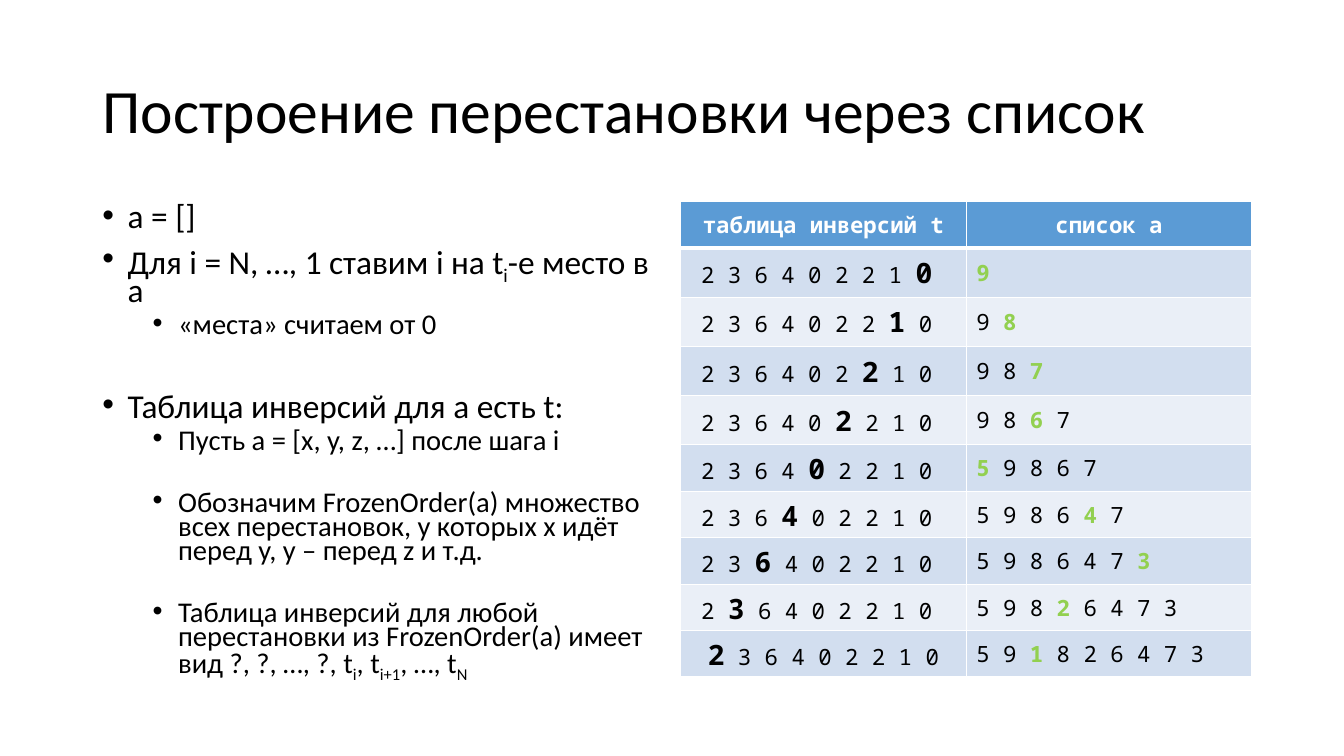
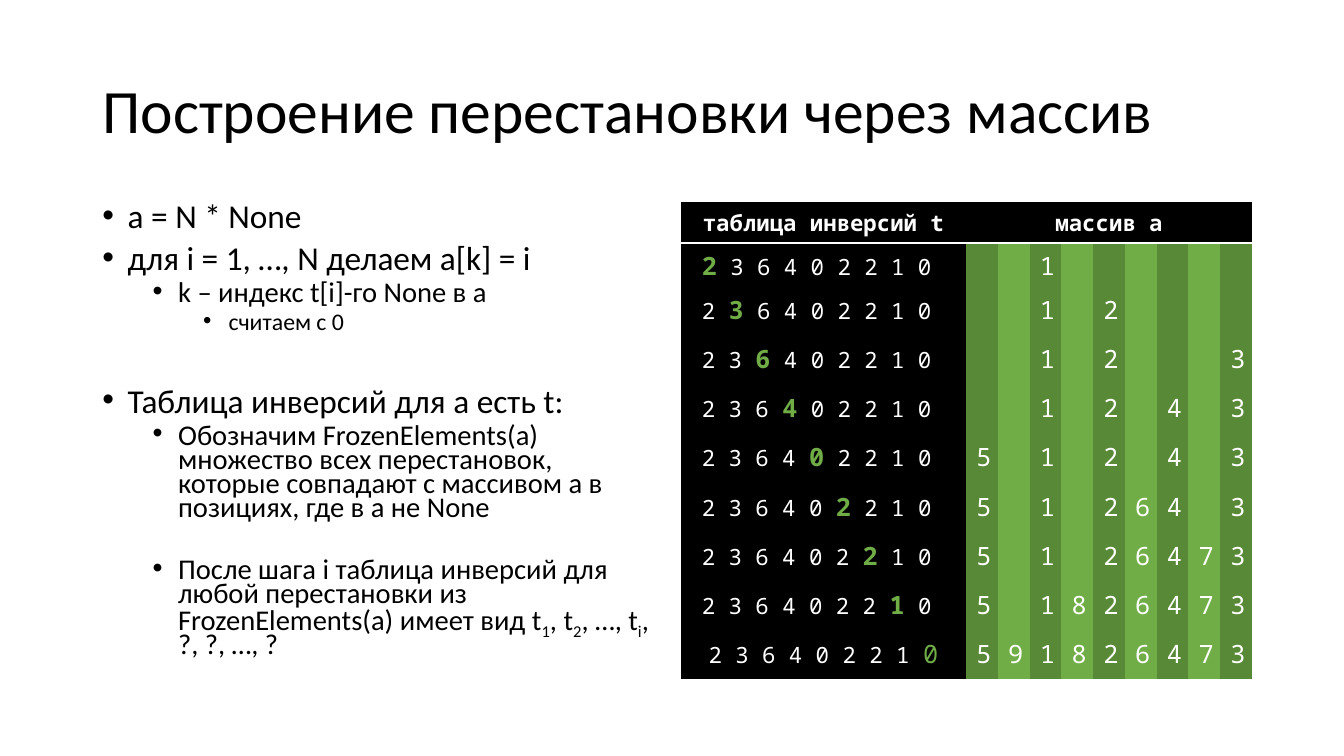
from lxml import etree
from pptx import Presentation
from pptx.dml.color import RGBColor
from pptx.enum.text import MSO_ANCHOR, PP_ALIGN
from pptx.oxml.ns import qn
from pptx.util import Cm, Pt

MIDDLE, LEFT, CENTER = MSO_ANCHOR.MIDDLE, PP_ALIGN.LEFT, PP_ALIGN.CENTER
BLACK = RGBColor(0x00, 0x00, 0x00)
WHITE = RGBColor(0xFF, 0xFF, 0xFF)
BLUE = RGBColor(0x5B, 0x9B, 0xD5)
BAND_DARK = RGBColor(0xD2, 0xDE, 0xEF)
BAND_LIGHT = RGBColor(0xEA, 0xEF, 0xF7)
LIME = RGBColor(0x92, 0xD0, 0x50)
GREEN = RGBColor(0x70, 0xAD, 0x47)
DARK_GREEN = RGBColor(0x58, 0x89, 0x37)
NO_GRID_STYLE = "{2D5ABB26-0587-4C30-8999-92F81FD0307C}"

# Content: (level, text, extra points before); |x| marks a subscript
INVERSIONS = [2, 3, 6, 4, 0, 2, 2, 1, 0]
COUNT = len(INVERSIONS)
LIST_TITLE = "Построение перестановки через список"
LIST_NOTES = [
    (0, "a = []", 0),
    (0, "Для i = N, …, 1 ставим i на t|i|-е место в a", 0),
    (1, "«места» считаем от 0", 0),
    (0, "Таблица инверсий для a есть t:", 30.3),
    (1, "Пусть a = [x, y, z, …] после шага i", 0),
    (1, "Обозначим FrozenOrder(a) множество всех перестановок, "
        "у которых x идёт перед y, y – перед z и т.д.", 22.4),
    (1, "Таблица инверсий для любой перестановки из FrozenOrder(a) "
        "имеет вид ?, ?, …, ?, t|i|, t|i+1|, …, t|N|", 22.4),
]
ARRAY_TITLE = "Построение перестановки через массив"
ARRAY_NOTES = [
    (0, "a = N * None", 0),
    (0, "для i = 1, …, N делаем a[k] = i", 0),
    (1, "k – индекс t[i]-го None в а", 0),
    (2, "считаем с 0", 0),
    (0, "Таблица инверсий для a есть t:", 30.3),
    (1, "Обозначим FrozenElements(a) множество всех перестановок, "
        "которые совпадают с массивом а в позициях, где в a не None", 0),
    (1, "После шага i таблица инверсий для любой перестановки из "
        "FrozenElements(a) имеет вид t|1|, t|2|, …, t|i|, ?, ?, …, ?", 22.4),
]
HEADER_T, HEADER_LIST, HEADER_ARRAY = "таблица инверсий t", "список а", "массив а"

# Layout
SIDE, TABLE_LEFT, BODY_TOP = Cm(2.33), Cm(17.15), Cm(5.08)
COLUMN_WIDTH, BODY_HEIGHT = Cm(14.4), Cm(12.09)
TITLE_AREA = (SIDE, Cm(1.01), Cm(29.21), Cm(3.68))
NOTES_AREA = (SIDE, BODY_TOP, COLUMN_WIDTH, BODY_HEIGHT)

# Text formats
TITLE = {"name": "Calibri", "size": Pt(44), "color": BLACK}
LEVELS = [  # size, space before, left indent
    (23.8, 10, Cm(0.64)),
    (20.4, 5, Cm(1.91)),
    (17, 5, Cm(3.18)),
]
HANGING = Cm(0.64)


def mono(color, size=16, bold=False):
    return {"name": "Noto Sans Mono", "size": Pt(size), "bold": bold, "color": color}


def write(para, spans):
    for text, look in spans:
        if not text:
            continue
        span = para.add_run()
        span.text = text
        for key, value in look.items():
            if key == "color":
                span.font.color.rgb = value
            elif key == "baseline":
                span.font._element.set("baseline", value)
            else:
                setattr(span.font, key, value)


def add_bullet(para, indent):
    props = para._p.get_or_add_pPr()
    props.set("marL", str(indent))
    props.set("indent", str(-HANGING))
    etree.SubElement(props, qn("a:buFont")).set("typeface", "Arial")
    etree.SubElement(props, qn("a:buChar")).set("char", "•")


def add_page(deck, title, notes):
    page = deck.slides.add_slide(deck.slide_layouts[6])
    frame = page.shapes.add_textbox(*TITLE_AREA).text_frame
    frame.word_wrap, frame.vertical_anchor = True, MIDDLE
    frame.paragraphs[0].line_spacing = 0.9
    write(frame.paragraphs[0], [(title, TITLE)])

    frame = page.shapes.add_textbox(*NOTES_AREA).text_frame
    frame.word_wrap = True
    for number, (level, text, extra) in enumerate(notes):
        para = frame.add_paragraph() if number else frame.paragraphs[0]
        size, before, indent = LEVELS[level]
        add_bullet(para, indent)
        para.line_spacing = 0.7
        para.space_before = Pt(before + extra if number else 0)
        plain = {"name": "Calibri", "size": Pt(size), "color": BLACK}
        lowered = {**plain, "baseline": "-25000"}
        write(para, [(part, lowered if place % 2 else plain)
                     for place, part in enumerate(text.split("|"))])
    return page


def add_borders(cell, widths):
    props = cell._tc.get_or_add_tcPr()
    for side in "LRTB":
        line = etree.SubElement(props, qn("a:ln" + side))
        if side in widths:
            line.set("w", str(Pt(widths[side])))
            fill = etree.SubElement(line, qn("a:solidFill"))
            etree.SubElement(fill, qn("a:srgbClr")).set("val", str(WHITE))
        else:
            etree.SubElement(line, qn("a:noFill"))


def add_grid(page, widths, heights, rows, border_rule):
    """Each cell of rows is (spans, fill, alignment)."""
    table = page.shapes.add_table(len(rows), len(widths), TABLE_LEFT, BODY_TOP,
                                  sum(widths), sum(heights)).table
    table._tbl.tblPr.find(qn("a:tableStyleId")).text = NO_GRID_STYLE
    for column, width in zip(table.columns, widths):
        column.width = width
    for row, height in zip(table.rows, heights):
        row.height = height
    for r, row in enumerate(rows):
        for c, (spans, fill, align) in enumerate(row):
            cell = table.cell(r, c)
            cell.vertical_anchor = MIDDLE
            add_borders(cell, border_rule(r))
            cell.fill.solid()
            cell.fill.fore_color.rgb = fill
            para = cell.text_frame.paragraphs[0]
            para.alignment = align
            write(para, spans)
    return table


def marked(values, place, plain, mark, tail=""):
    """Spaced digits with the one at place set in the mark format."""
    words = [str(value) for value in values]
    before = "".join(word + " " for word in words[:place])
    after = "".join(" " + word for word in words[place + 1:]) + tail
    return [(before, plain), (words[place], mark), (after, plain)]


def header(text, fill):
    return [(text, mono(WHITE, bold=True))], fill, CENTER


def add_list_table(page):
    plain, big, new = mono(BLACK), mono(BLACK, 20, True), mono(LIME, bold=True)
    rows = [[header(HEADER_T, BLUE), header(HEADER_LIST, BLUE)]]
    built = []
    for i in range(COUNT - 1, -1, -1):
        place = INVERSIONS[i]
        built.insert(place, i + 1)
        fill = BAND_DARK if len(rows) % 2 else BAND_LIGHT
        rows.append([
            (marked(INVERSIONS, i, plain, big, " " if i else ""), fill, CENTER),
            (marked(built, place, plain, new), fill, LEFT),
        ])
    heights = [Cm(1.17)] + [Cm(1.24)] * 4 + [Cm(1.17)] * 5

    def borders(row):
        return {"L": 1, "R": 1, "T": 1 if row != 1 else 3, "B": 1 if row else 3}

    add_grid(page, [COLUMN_WIDTH // 2] * 2, heights, rows, borders)


def add_array_table(page):
    plain, digit = mono(WHITE), mono(WHITE, 18)
    rows = [[header(HEADER_T, BLACK), header(HEADER_ARRAY, BLACK)]
            + [([], BLACK, CENTER)] * (COUNT - 1)]
    array = [None] * COUNT
    for i, inversions in enumerate(INVERSIONS):
        free = [slot for slot, value in enumerate(array) if value is None]
        array[free[inversions]] = i + 1
        last = i == COUNT - 1
        mark = mono(GREEN, 18, not last)
        spans = marked(INVERSIONS, i, plain, mark, "" if last else " ")
        rows.append([(spans, BLACK, CENTER)] + [
            ([(str(value), digit)] if value else [],
             GREEN if slot % 2 else DARK_GREEN, CENTER)
            for slot, value in enumerate(array)])
    half = COLUMN_WIDTH // 2
    heights = [Cm(1.05)] * 2 + [Cm(1.24)] * 8

    def borders(row):
        return {0: {"B": 2}, 1: {"T": 2}}.get(row, {})

    table = add_grid(page, [half] + [half // COUNT] * COUNT, heights, rows, borders)
    table.cell(0, 1).merge(table.cell(0, COUNT))


def main():
    deck = Presentation()
    deck.slide_width, deck.slide_height = Cm(33.87), Cm(19.05)
    add_list_table(add_page(deck, LIST_TITLE, LIST_NOTES))
    add_array_table(add_page(deck, ARRAY_TITLE, ARRAY_NOTES))
    deck.save("out.pptx")


if __name__ == "__main__":
    main()
